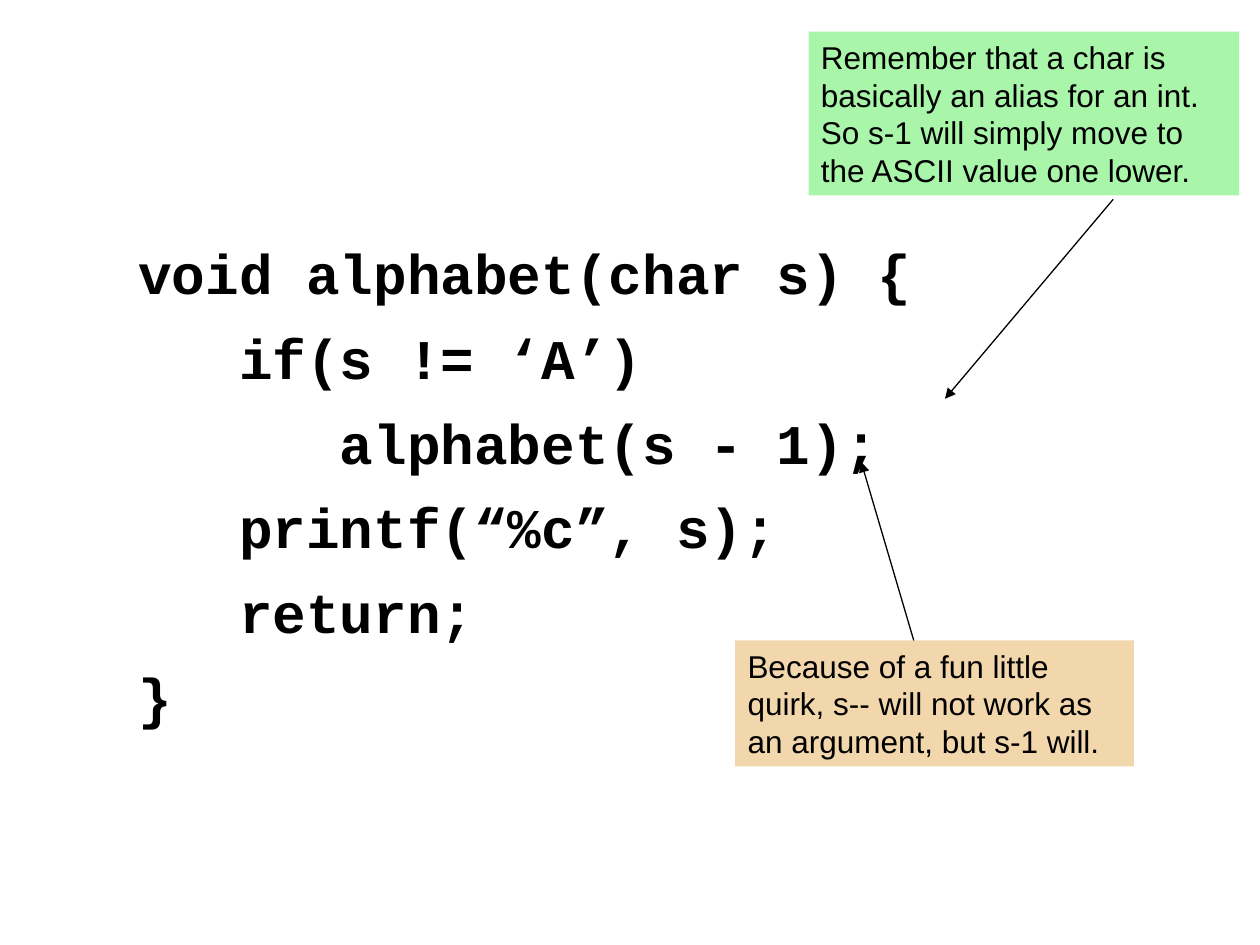
from dataclasses import dataclass

from lxml import etree
from pptx import Presentation
from pptx.dml.color import RGBColor
from pptx.enum.shapes import MSO_CONNECTOR, MSO_SHAPE
from pptx.enum.text import MSO_ANCHOR, PP_ALIGN
from pptx.oxml.ns import qn
from pptx.util import Cm, Pt

RECT = MSO_SHAPE.RECTANGLE
LINE = MSO_CONNECTOR.STRAIGHT
TOP = MSO_ANCHOR.TOP
LEFT = PP_ALIGN.LEFT


@dataclass(frozen=True)
class Theme:
    ink: RGBColor = RGBColor(0x00, 0x00, 0x00)
    green: RGBColor = RGBColor(0xA9, 0xF5, 0xA9)
    tan: RGBColor = RGBColor(0xF2, 0xD6, 0xAC)
    code_font: str = "Courier New"
    note_font: str = "Arial"
    code_size: Pt = Pt(32)
    note_size: Pt = Pt(18)
    code_gap: Pt = Pt(10)
    rule: Pt = Pt(0.75)


THEME = Theme()

CODE = """void alphabet(char s) {
   if(s != ‘A’)
      alphabet(s - 1);
   printf(“%c”, s);
   return;
}"""


def style(para, font, size, bold=False):
    para.alignment = LEFT
    para.font.name = font
    para.font.size = size
    para.font.bold = bold
    para.font.color.rgb = THEME.ink


def add_code(slide, box, code):
    frame = slide.shapes.add_textbox(*map(Cm, box)).text_frame
    frame.word_wrap = True
    frame.margin_top = Cm(0.36)
    for i, line in enumerate(code.splitlines()):
        para = frame.add_paragraph() if i else frame.paragraphs[0]
        para.text = line
        if i:
            para.space_before = THEME.code_gap
        style(para, THEME.code_font, THEME.code_size, bold=True)


def add_note(slide, box, text, fill):
    note = slide.shapes.add_shape(RECT, *map(Cm, box))
    note.shadow.inherit = False
    note.fill.solid()
    note.fill.fore_color.rgb = fill
    note.line.fill.background()
    frame = note.text_frame
    frame.word_wrap = True
    frame.vertical_anchor = TOP
    para = frame.paragraphs[0]
    para.text = text
    style(para, THEME.note_font, THEME.note_size)


def add_arrow(slide, start, end):
    arrow = slide.shapes.add_connector(LINE, *map(Cm, start + end))
    arrow.line.color.rgb = THEME.ink
    arrow.line.width = THEME.rule
    props = arrow.line._get_or_add_ln()
    etree.SubElement(props, qn("a:tailEnd"), type="triangle")
    etree.SubElement(arrow._element.spPr, qn("a:effectLst"))


def main():
    deck = Presentation()
    deck.slide_width, deck.slide_height = Cm(25.4), Cm(19.05)
    slide = deck.slides.add_slide(deck.slide_layouts[6])

    # Recursive function
    add_code(slide, (2.54, 4.45, 22.86, 15.75 - 1.15), CODE)

    # Notes on the argument
    add_note(slide, (14.82, 12.91, 8.04, 2.54),
             "Because of a fun little quirk, s-- will not work as an "
             "argument, but s-1 will.", THEME.tan)
    add_note(slide, (16.3, 0.64, 8.68, 3.3),
             "Remember that a char is basically an alias for an int. So s-1 "
             "will simply move to the ASCII value one lower.", THEME.green)

    # Arrows from the notes to the call
    add_arrow(slide, (22.44, 4.02), (19.05, 8.04))
    add_arrow(slide, (18.42, 12.91), (17.36, 9.31))

    deck.save("out.pptx")


if __name__ == "__main__":
    main()
